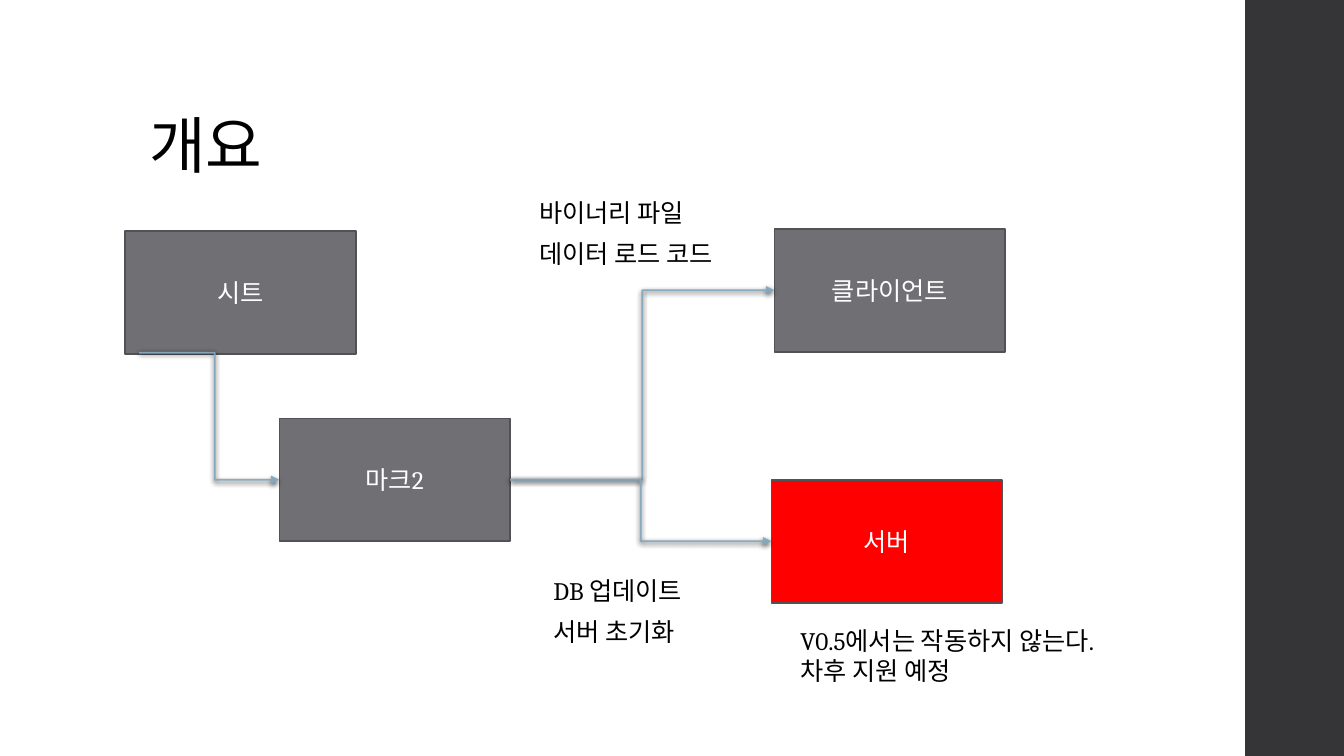
from lxml.etree import SubElement
from pptx import Presentation
from pptx.dml.color import RGBColor
from pptx.enum.shapes import MSO_CONNECTOR, MSO_SHAPE
from pptx.enum.text import MSO_ANCHOR, MSO_AUTO_SIZE, PP_ALIGN
from pptx.oxml import parse_xml
from pptx.oxml.ns import nsdecls, qn
from pptx.util import Inches, Pt

FONT = "Cambria"
GRAY, RED, EDGE, ARROW = "6F6F74", "FF0000", "525256", "85A7BE"
BOX_WIDTH, BOX_HEIGHT = 2.29, 1.22
LEFT_SITE, RIGHT_SITE = 1, 3


def color(value):
    """Turn a hex string into a colour."""
    return RGBColor.from_string(value)


def write(frame, text, size=18, fill="000000", align=PP_ALIGN.LEFT,
          anchor=MSO_ANCHOR.TOP, line_spacing=None, tracking=None):
    """Write one paragraph per line of text, all in one format."""
    frame.vertical_anchor = anchor
    for index, line in enumerate(text.split("\n")):
        para = frame.add_paragraph() if index else frame.paragraphs[0]
        para.alignment = align
        para.line_spacing = line_spacing
        span = para.add_run()
        span.text = line
        span.font.name = FONT
        span.font.size = Pt(size)
        span.font.color.rgb = color(fill)
        if tracking is not None:
            span.font._element.set("spc", str(int(tracking * 100)))


def add_title(page, text):
    """Place and fill the title placeholder."""
    title = page.shapes.title
    title.left, title.top = Inches(1.38), Inches(0.4)
    title.width, title.height = Inches(10.6), Inches(1.45)
    title.text_frame.auto_size = MSO_AUTO_SIZE.NONE
    write(title.text_frame, text, size=44, anchor=MSO_ANCHOR.BOTTOM,
          line_spacing=0.9, tracking=-0.5)


def add_rectangle(page, left, top, width, height, fill, edge=None):
    """Add a filled rectangle, outlined when an edge colour is given."""
    box = page.shapes.add_shape(MSO_SHAPE.RECTANGLE, Inches(left), Inches(top),
                                Inches(width), Inches(height))
    box.shadow.inherit = False
    box.fill.solid()
    box.fill.fore_color.rgb = color(fill)
    if edge:
        box.line.color.rgb = color(edge)
        box.line.width = Pt(1.1)
    else:
        box.line.fill.background()
    return box


def add_step(page, text, left, top, fill=GRAY):
    """Add a labelled box of the flow."""
    box = add_rectangle(page, left, top, BOX_WIDTH, BOX_HEIGHT, fill, EDGE)
    write(box.text_frame, text, fill="FFFFFF", align=PP_ALIGN.CENTER,
          anchor=MSO_ANCHOR.MIDDLE)
    return box


def add_arrow(page, target, source=None, start=(0, 0), bend=0.5):
    """Add a bent arrow from a source box or a start point to a target box."""
    x, y = Inches(start[0]), Inches(start[1])
    arrow = page.shapes.add_connector(MSO_CONNECTOR.ELBOW, x, y, x, y)
    if source is not None:
        arrow.begin_connect(source, RIGHT_SITE)
    arrow.end_connect(target, LEFT_SITE)
    arrow.line.color.rgb = color(ARROW)
    arrow.line.width = Pt(1.35)
    properties = arrow._element.spPr
    guides = properties.find(qn("a:prstGeom")).find(qn("a:avLst"))
    SubElement(guides, qn("a:gd"), name="adj1", fmla=f"val {int(bend * 100000)}")
    outline = properties.find(qn("a:ln"))
    tone = outline.find(qn("a:solidFill"))[0]
    SubElement(tone, qn("a:alpha"), val="95000")
    SubElement(outline, qn("a:tailEnd"), type="triangle")
    properties.append(parse_xml(
        f'<a:effectLst {nsdecls("a")}>'
        f'<a:outerShdw blurRad="{Pt(4)}" dist="{Pt(1.2)}" dir="5400000" rotWithShape="0">'
        '<a:srgbClr val="000000"><a:alpha val="75000"/></a:srgbClr>'
        '</a:outerShdw></a:effectLst>'))


def add_note(page, text, left, top, width, height=0.4):
    """Add a free text label that does not wrap."""
    box = page.shapes.add_textbox(Inches(left), Inches(top),
                                  Inches(width), Inches(height))
    box.text_frame.word_wrap = False
    box.text_frame.auto_size = MSO_AUTO_SIZE.SHAPE_TO_FIT_TEXT
    write(box.text_frame, text)


def main():
    """Build the overview slide and save it."""
    deck = Presentation()
    deck.slide_width, deck.slide_height = Inches(13.33), Inches(7.5)
    page = deck.slides.add_slide(deck.slide_layouts[5])

    add_rectangle(page, 12.35, 0, 1, 7.5, "353537")
    add_title(page, "개요")

    add_step(page, "시트", 1.24, 2.29)
    converter = add_step(page, "마크2", 2.77, 4.15)
    server = add_step(page, "서버", 7.65, 4.76, RED)
    client = add_step(page, "클라이언트", 7.68, 2.27)

    add_arrow(page, converter, start=(1.38, 3.5), bend=0.54)
    for target in (client, server):
        add_arrow(page, target, source=converter)

    add_note(page, "바이너리 파일", 5.25, 1.91, 1.79)
    add_note(page, "데이터 로드 코드", 5.25, 2.32, 2.11)
    add_note(page, "DB 업데이트", 5.39, 5.66, 1.66)
    add_note(page, "서버 초기화", 5.39, 6.07, 1.53)
    add_note(page, "V0.5에서는 작동하지 않는다.\n차후 지원 예정", 7.84, 6.15, 3.47, 0.71)

    deck.save("out.pptx")


if __name__ == "__main__":
    main()
